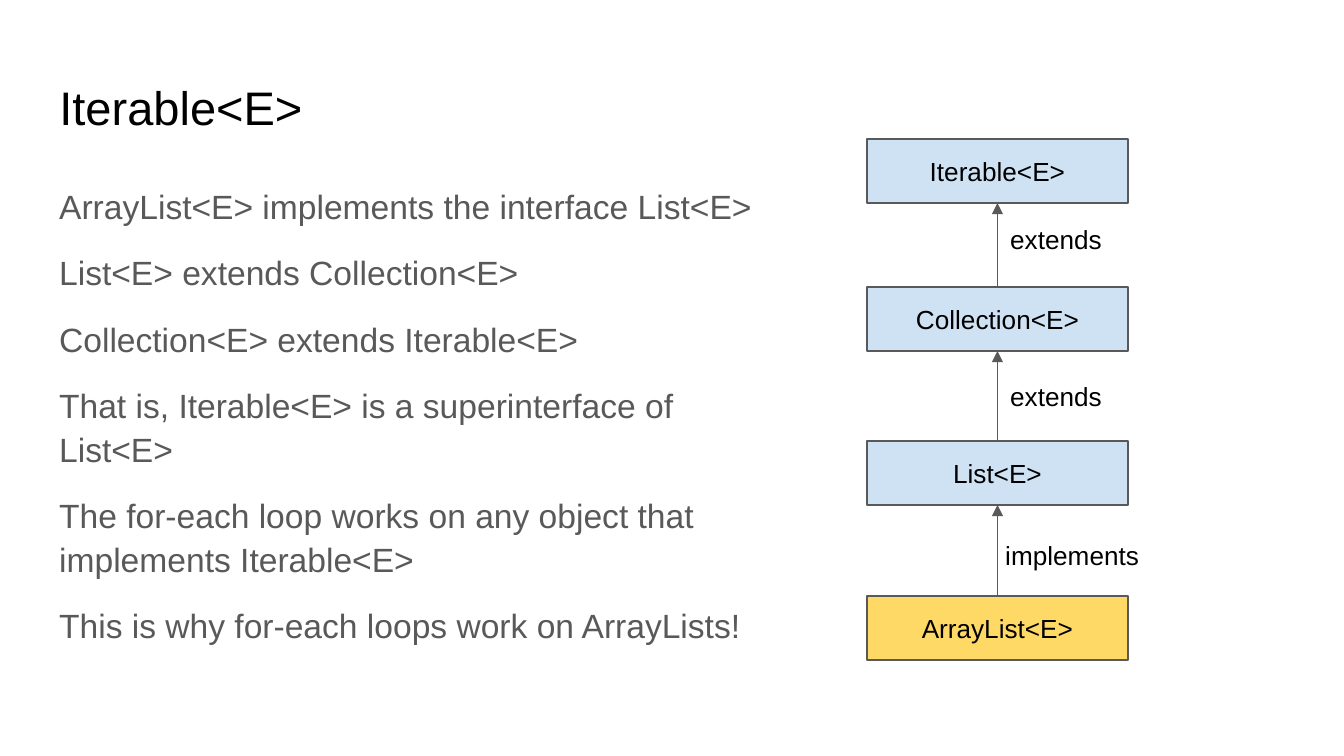
from pptx import Presentation, util as u
from pptx.dml.color import RGBColor
from pptx.enum import shapes, text
from pptx.oxml.ns import qn
from lxml import etree

PX = 914400 / 134.4
BLACK = RGBColor(0, 0, 0)
GRAY = RGBColor(0x59, 0x59, 0x59)
BLUE = RGBColor(0xCF, 0xE2, 0xF3)
GOLD = RGBColor(0xFF, 0xD9, 0x66)


def px(*nums):
    return [u.Emu(round(n * PX)) for n in nums]


def write(shape, lines, size, color, align=text.PP_ALIGN.LEFT, anchor=text.MSO_ANCHOR.TOP):
    frame = shape.text_frame
    frame.text = "\n".join(lines)
    frame.word_wrap = True
    frame.auto_size = text.MSO_AUTO_SIZE.NONE
    frame.vertical_anchor = anchor
    frame.margin_left = frame.margin_right = u.Inches(0.1)
    frame.margin_top = frame.margin_bottom = u.Inches(0.1)
    for para in frame.paragraphs:
        para.alignment = align
        para.font.name = "Arial"
        para.font.size = u.Pt(size)
        para.font.color.rgb = color
    return frame.paragraphs


deck = Presentation()
deck.slide_width, deck.slide_height = px(1344, 756)
slide = deck.slides.add_slide(deck.slide_layouts[5])
items = slide.shapes

title = items.title
title.left, title.top, title.width, title.height = px(46, 65, 1252, 85)
write(title, ["Iterable<E>"], 25.2, BLACK)

points = [
    "ArrayList<E> implements the interface List<E>",
    "List<E> extends Collection<E>",
    "Collection<E> extends Iterable<E>",
    "That is, Iterable<E> is a superinterface of List<E>",
    "The for-each loop works on any object that implements Iterable<E>",
    "This is why for-each loops work on ArrayLists!",
]
body = items.add_textbox(*px(46, 169, 737, 503))
for i, para in enumerate(write(body, points, 18, GRAY)):
    para.line_spacing = 1.09
    para.space_before = u.Pt(12 if i else 0)

types = [
    ("Iterable<E>", 139, BLUE),
    ("Collection<E>", 287, BLUE),
    ("List<E>", 441, BLUE),
    ("ArrayList<E>", 596, GOLD),
]
boxes = []
for name, top, fill in types:
    box = items.add_shape(shapes.MSO_SHAPE.RECTANGLE, *px(867, top, 261, 64))
    box.shadow.inherit = False
    box.fill.solid()
    box.fill.fore_color.rgb = fill
    box.line.color.rgb = GRAY
    box.line.width = u.Pt(0.75)
    write(box, [name], 14, BLACK, text.PP_ALIGN.CENTER, text.MSO_ANCHOR.MIDDLE)
    boxes.append(box)

for upper, lower in zip(boxes, boxes[1:]):
    arrow = items.add_connector(shapes.MSO_CONNECTOR.STRAIGHT, 0, 0, 0, 0)
    arrow.begin_connect(lower, 0)
    arrow.end_connect(upper, 2)
    arrow.line.color.rgb = GRAY
    arrow.line.width = u.Pt(0.75)
    etree.SubElement(arrow.line._get_or_add_ln(), qn("a:tailEnd"), type="triangle")
    etree.SubElement(arrow._element.spPr, qn("a:effectLst"))

labels = [("extends", 997, 210, 202), ("extends", 997, 367, 202), ("implements", 992, 526, 161)]
for word, left, top, width in labels:
    write(items.add_textbox(*px(left, top, width, 59)), [word], 14, BLACK)

deck.save("out.pptx")
